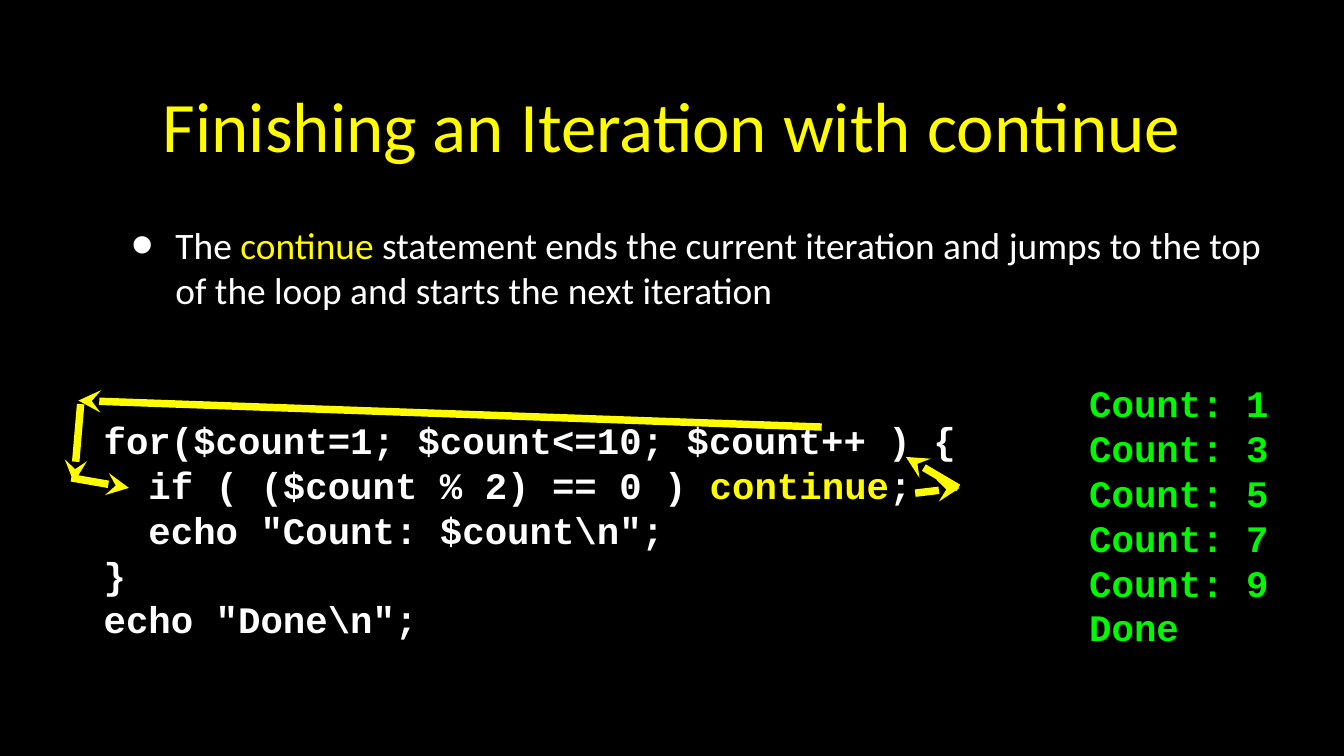
from pptx import Presentation
from pptx.dml.color import RGBColor
from pptx.enum.shapes import MSO_CONNECTOR
from pptx.enum.text import MSO_ANCHOR, MSO_AUTO_SIZE, PP_ALIGN
from pptx.oxml.ns import qn
from pptx.util import Pt
from lxml.etree import SubElement

COLORS = {"black": "000000", "yellow": "FFFB00", "white": "FFFFFF", "green": "00F900"}


def write(paragraph, text, color="white", font="Calibri", size=20, bold=False):
    run = paragraph.add_run()
    run.text = text
    run.font.name = font
    run.font.size = Pt(size)
    run.font.bold = bold
    run.font.color.rgb = RGBColor.from_string(COLORS[color])


def set_frame(shape, left, top, width, height, inset):
    shape.left, shape.top, shape.width, shape.height = map(Pt, (left, top, width, height))
    frame = shape.text_frame
    frame.word_wrap = True
    frame.auto_size = MSO_AUTO_SIZE.NONE
    frame.vertical_anchor = MSO_ANCHOR.MIDDLE
    frame.margin_left = frame.margin_top = frame.margin_right = frame.margin_bottom = Pt(inset)
    return frame


presentation = Presentation()
presentation.slide_width, presentation.slide_height = Pt(720), Pt(405)
slide = presentation.slides.add_slide(presentation.slide_layouts[1])
slide.background.fill.solid()
slide.background.fill.fore_color.rgb = RGBColor.from_string(COLORS["black"])

# Title
heading = set_frame(slide.shapes.title, 67, 34.2, 586, 64.8, 4.3).paragraphs[0]
heading.alignment = PP_ALIGN.CENTER
write(heading, "Finishing an Iteration with continue", color="yellow", size=38)

# Explanation with a large round bullet
explanation = set_frame(slide.placeholders[1], 56.7, 105.8, 623.5, 74.9, 4.3).paragraphs[0]
properties = explanation._p.get_or_add_pPr()
properties.set("marL", str(Pt(33)))
properties.set("indent", str(-Pt(23.8)))
bullet_color = SubElement(properties, qn("a:buClr"))
SubElement(bullet_color, qn("a:srgbClr"), val=COLORS["white"])
SubElement(properties, qn("a:buSzPct"), val="171000")
SubElement(properties, qn("a:buFont"), typeface="Arial")
SubElement(properties, qn("a:buChar"), char="•")
explanation.space_before = Pt(0)
write(explanation, "The ")
write(explanation, "continue", color="yellow")
write(explanation, " statement ends the current iteration and jumps to the top "
                   "of the loop and starts the next iteration")

# Loop code and its output: lines of (text, color) runs
code = [
    [("for($count=1; $count<=10; $count++ ) {", "white")],
    [("  if ( ($count % 2) == 0 ) ", "white"), ("continue", "yellow"), (";", "white")],
    [('  echo "Count: $count\\n";', "white")],
    [("}", "white")],
    [('echo "Done\\n";', "white")],
]
output = [[(f"Count: {count}", "green")] for count in range(1, 10, 2)] + [[("Done", "green")]]

for lines, bounds in ((code, (53.3, 221, 642.2, 125.3)), (output, (581.3, 200.9, 114.5, 149.8))):
    left, top, width, height = map(Pt, bounds)
    outline = slide.shapes.build_freeform(left, top)
    outline.add_line_segments([(left + width, top), (left + width, top + height),
                               (left, top + height)])
    panel = outline.convert_to_shape()
    panel.shadow.inherit = False
    panel.fill.background()
    panel.line.fill.background()
    listing = set_frame(panel, *bounds, 2.2)
    for number, runs in enumerate(lines):
        line = listing.add_paragraph() if number else listing.paragraphs[0]
        line.alignment = PP_ALIGN.LEFT
        line.line_spacing = Pt(24)
        for text, color in runs:
            write(line, text, color=color, font="Courier New", bold=True)

# Arrows tracing the jump back to the loop top, each given as tip and tail
jump_arrows = [
    ((514.1, 261.4), (490.3, 264.2)),
    ((485.3, 244.8), (513.4, 261.4)),
    ((42, 214.6), (440.2, 228.8)),
    ((39.6, 258.5), (43.2, 216.5)),
    ((69.1, 261.4), (38.2, 256)),
]
for tip, tail in jump_arrows:
    arrow = slide.shapes.add_connector(MSO_CONNECTOR.STRAIGHT, *map(Pt, tip + tail))
    arrow.line.width = Pt(4)
    arrow.line.color.rgb = RGBColor.from_string(COLORS["yellow"])
    SubElement(arrow.line._get_or_add_ln(), qn("a:headEnd"), type="stealth")
    SubElement(arrow._element.spPr, qn("a:effectLst"))

presentation.save("out.pptx")
